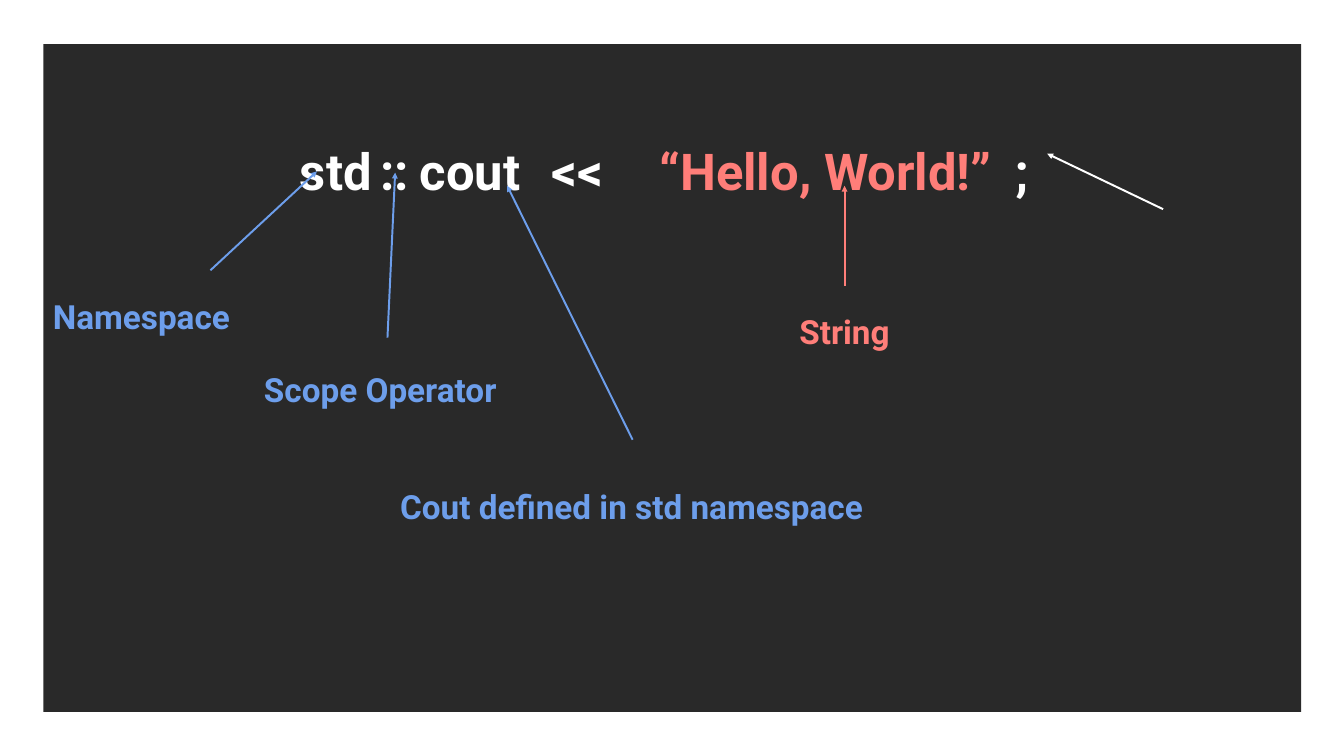
from dataclasses import dataclass
from typing import Optional

from lxml import etree
from pptx import Presentation
from pptx import util as u
from pptx.dml.color import RGBColor
from pptx.enum import shapes, text
from pptx.oxml.ns import qn


@dataclass(frozen=True)
class Theme:
    font: str = "Roboto"
    panel: str = "000000"
    panel_alpha: int = 84
    plain: str = "FFFFFF"
    scope: str = "6D9EEB"
    string: str = "FF7E79"
    code_size: int = 58
    label_size: int = 38
    line_width: float = 2.25
    line_spacing: float = 1.5
    inset: float = 0.08


@dataclass(frozen=True)
class Area:
    """Position and size in percent of the slide."""
    left: float
    top: float
    width: float
    height: float


@dataclass(frozen=True)
class Words:
    content: str
    area: Area
    color: str
    size: int
    align: text.PP_ALIGN = text.PP_ALIGN.LEFT


@dataclass(frozen=True)
class Arrow:
    start: tuple[float, float]
    end: tuple[float, float]
    color: str
    source: Optional[str] = None


THEME = Theme()
WIDTH, HEIGHT = u.Inches(21.33), u.Inches(12)
CODE_TOP, CODE_HEIGHT, TOKEN_WIDTH = 13.75, 10.92, 8.91

PANEL = Area(3.23, 5.83, 93.58, 88.33)

TOKENS = [
    Words(content, Area(left, CODE_TOP, width, CODE_HEIGHT), color, THEME.code_size)
    for content, left, width, color in [
        ("std", 21.94, TOKEN_WIDTH, THEME.plain),
        ("::", 27.94, TOKEN_WIDTH, THEME.plain),
        ("cout", 30.85, TOKEN_WIDTH, THEME.plain),
        ("<<", 40.69, TOKEN_WIDTH, THEME.plain),
        ("“Hello, World!”", 48.71, 29.16, THEME.string),
        (";", 75.2, TOKEN_WIDTH, THEME.plain),
    ]
]

LABELS = [
    Words("Namespace", Area(3.56, 35.92, 15.52, 10.92), THEME.scope, THEME.label_size),
    Words("Scope Operator", Area(19.27, 45.5, 19.69, 18.58), THEME.scope, THEME.label_size),
    Words("Cout defined in std namespace", Area(29.4, 61, 39.15, 14.75),
          THEME.scope, THEME.label_size),
    Words("String", Area(57.38, 37.83, 10.92, 7.08), THEME.string, THEME.label_size,
          text.PP_ALIGN.CENTER),
]

ARROWS = [
    Arrow((15.66, 35.75), (23.58, 22.67), THEME.scope),
    Arrow((28.83, 44.67), (29.4, 22.83), THEME.scope),
    Arrow((47.07, 58.17), (37.74, 24.58), THEME.scope),
    Arrow((62.84, 37.83), (62.84, 24.58), THEME.string, source="String"),
    Arrow((86.54, 27.67), (77.92, 20.33), THEME.plain),
]


def point(x: float, y: float) -> tuple[int, int]:
    """Turn percent of the slide into lengths."""
    return round(WIDTH * x / 100), round(HEIGHT * y / 100)


def frame(area: Area) -> tuple[int, int, int, int]:
    return point(area.left, area.top) + point(area.width, area.height)


def apply(target, values: dict) -> None:
    for name, value in values.items():
        setattr(target, name, value)


def draw_panel(page) -> None:
    panel = page.shapes.add_shape(shapes.MSO_SHAPE.RECTANGLE, *frame(PANEL))
    panel.shadow.inherit = False
    panel.line.fill.background()
    panel.fill.solid()
    panel.fill.fore_color.rgb = RGBColor.from_string(THEME.panel)
    color = panel._element.spPr.find(qn("a:solidFill")).find(qn("a:srgbClr"))
    etree.SubElement(color, qn("a:alpha"), val=str(THEME.panel_alpha * 1000))


def draw_words(page, words: Words):
    box = page.shapes.add_textbox(*frame(words.area))
    inset = u.Inches(THEME.inset)
    apply(box.text_frame, {
        "word_wrap": True, "vertical_anchor": text.MSO_ANCHOR.TOP,
        "margin_left": inset, "margin_right": inset,
        "margin_top": inset, "margin_bottom": inset,
    })
    para = box.text_frame.paragraphs[0]
    apply(para, {"alignment": words.align, "line_spacing": THEME.line_spacing})
    span = para.add_run()
    span.text = words.content
    apply(span.font, {"name": THEME.font, "size": u.Pt(words.size), "bold": True})
    span.font.color.rgb = RGBColor.from_string(words.color)
    return box


def draw_arrow(page, arrow: Arrow, boxes: dict) -> None:
    line = page.shapes.add_connector(
        shapes.MSO_CONNECTOR.STRAIGHT, *point(*arrow.start), *point(*arrow.end))
    if arrow.source:
        line.begin_connect(boxes[arrow.source], 0)
    line.line.width = u.Pt(THEME.line_width)
    line.line.color.rgb = RGBColor.from_string(arrow.color)
    properties = line._element.spPr
    etree.SubElement(properties.find(qn("a:ln")), qn("a:tailEnd"), type="triangle")
    etree.SubElement(properties, qn("a:effectLst"))


def main() -> None:
    deck = Presentation()
    apply(deck, {"slide_width": WIDTH, "slide_height": HEIGHT})
    page = deck.slides.add_slide(deck.slide_layouts[6])
    draw_panel(page)
    boxes = {words.content: draw_words(page, words) for words in TOKENS + LABELS}
    for arrow in ARROWS:
        draw_arrow(page, arrow, boxes)
    deck.save("out.pptx")


if __name__ == "__main__":
    main()
